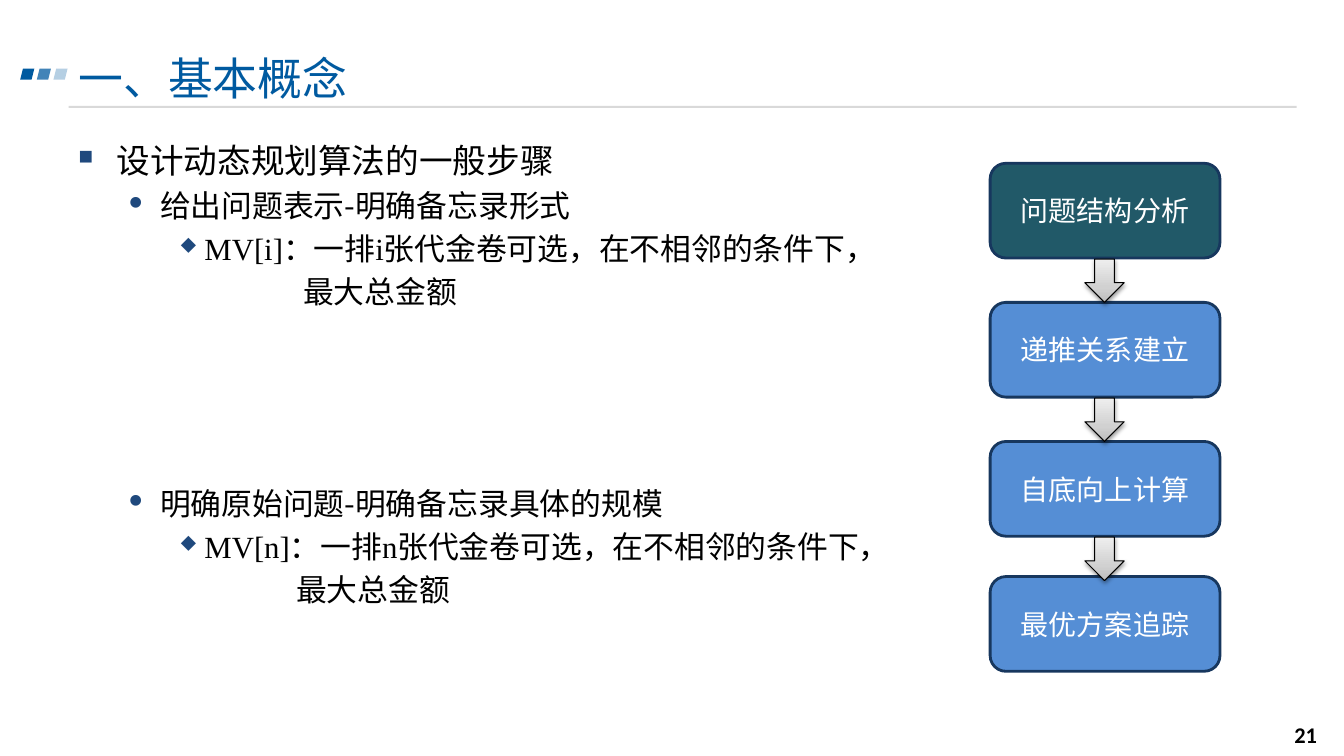
from lxml import etree
from pptx import Presentation
from pptx.dml.color import RGBColor
from pptx.enum import shapes, text
from pptx.oxml import parse_xml
from pptx.oxml.ns import nsdecls, qn
from pptx.util import Inches, Pt

# Content
TITLE = "一、基本概念"
PAGE = "21"
# (style, text, left margin or None for the style's own, extra gap above in points)
OUTLINE = [
    ("topic", "设计动态规划算法的一般步骤", None, 0),
    ("step", "给出问题表示-明确备忘录形式", None, 0),
    ("detail", "MV[i]：一排i张代金卷可选，在不相邻的条件下，", None, 0),
    ("more", "最大总金额", 2.23, 0),
    ("step", "明确原始问题-明确备忘录具体的规模", None, 120),
    ("detail", "MV[n]：一排n张代金卷可选，在不相邻的条件下，", None, 0),
    ("more", "最大总金额", 2.16, 0),
]
STAGES = [("问题结构分析", 1.62), ("递推关系建立", 3.0), ("自底向上计算", 4.38), ("最优方案追踪", 5.72)]
CURRENT_STAGE = 0

# Theme
THEME = {
    "brand": "005AA0", "rule": "D9D9D9", "ink": "000000", "white": "FFFFFF",
    "bullet": "1F497D", "stage": "558ED5", "current": "215968", "edge": "17375E",
    "arrow": [(0, "BDBDBD"), (35, "D1D1D1"), (100, "EEEEEE")],
    "sans": "Calibri", "serif": "Times New Roman", "cjk": "Noto Sans CJK SC",
    "title": 32, "stage_size": 20, "page": 16,
}
# size, line height, font, left margin, first-line indent, Wingdings bullet
STYLES = {
    "topic": (24, 31, THEME["cjk"], 0.38, -0.38, "n"),
    "step": (22, 26.5, THEME["cjk"], 0.81, -0.31, "l"),
    "detail": (22, 26.5, THEME["serif"], 1.25, -0.25, "u"),
    "more": (22, 26.5, THEME["serif"], 1, 0, None),
}


def color(key):
    return RGBColor.from_string(THEME[key])


def write(paragraph, words, size, font, ink):
    run = paragraph.add_run()
    run.text = words
    paragraph.font.size = Pt(size)
    paragraph.font.name = font
    paragraph.font.color.rgb = color(ink)
    # East Asian face follows the Latin one on every run
    props = run._r.get_or_add_rPr()
    props.set("lang", "zh-CN")
    etree.SubElement(props, qn("a:ea")).set("typeface", THEME["cjk"])


def add_box(left, top, width, height, anchor):
    frame = slide.shapes.add_textbox(*map(Inches, (left, top, width, height))).text_frame
    frame.word_wrap = True
    frame.vertical_anchor = anchor
    return frame


def add_plain(kind, left, top, width, height, fill=None):
    shape = slide.shapes.add_shape(kind, *map(Inches, (left, top, width, height)))
    shape.shadow.inherit = False
    if fill:
        shape.fill.solid()
        shape.fill.fore_color.rgb = color(fill)
        shape.line.fill.background()
    return shape


def add_bullet(paragraph, left, indent, mark):
    props = paragraph._p.get_or_add_pPr()
    props.set("marL", str(Inches(left)))
    props.set("indent", str(Inches(indent)))
    if mark:
        tint = etree.SubElement(props, qn("a:buClr"))
        etree.SubElement(tint, qn("a:srgbClr")).set("val", THEME["bullet"])
        etree.SubElement(props, qn("a:buSzPct")).set("val", "60000")
        face = etree.SubElement(props, qn("a:buFont"))
        face.set("typeface", "Wingdings")
        face.set("charset", "2")
        etree.SubElement(props, qn("a:buChar")).set("char", mark)
    else:
        etree.SubElement(props, qn("a:buNone"))


def style_arrow(arrow):
    stops = "".join(f'<a:gs pos="{pos * 1000}"><a:srgbClr val="{tint}"/></a:gs>'
                    for pos, tint in THEME["arrow"])
    gradient = parse_xml(f'<a:gradFill {nsdecls("a")} rotWithShape="1"><a:gsLst>{stops}</a:gsLst>'
                         '<a:lin ang="16200000" scaled="1"/></a:gradFill>')
    arrow._element.spPr.find(qn("a:prstGeom")).addnext(gradient)
    arrow.line.color.rgb = color("ink")
    arrow.line.width = Pt(0.75)
    shadow = parse_xml(
        f'<a:outerShdw {nsdecls("a")} blurRad="{Pt(3.1)}" dist="{Pt(1.6)}" dir="5400000" rotWithShape="0">'
        f'<a:srgbClr val="{THEME["ink"]}"><a:alpha val="38000"/></a:srgbClr></a:outerShdw>')
    arrow._element.spPr.find(qn("a:effectLst")).append(shadow)


prs = Presentation()
prs.slide_width, prs.slide_height = Inches(13.33), Inches(7.5)
slide = prs.slides.add_slide(prs.slide_layouts[6])
KIND = shapes.MSO_SHAPE
MIDDLE = text.MSO_ANCHOR.MIDDLE

# Header rule and fading tiles
add_plain(KIND.RECTANGLE, 0.68, 1.05, 12.18, 0.02, "rule")
for place, opacity in enumerate((100, 74, 29)):
    tile = add_plain(KIND.PARALLELOGRAM, 0.2 + place * 0.165, 0.68, 0.14, 0.11, "brand")
    tile.rotation = 180
    if opacity < 100:
        tint = tile._element.spPr.find(qn("a:solidFill"))[0]
        etree.SubElement(tint, qn("a:alpha")).set("val", str(opacity * 1000))

# Page number
page = add_box(12.44, 7.09, 0.72, 0.4, MIDDLE).paragraphs[0]
page.alignment = text.PP_ALIGN.RIGHT
write(page, PAGE, THEME["page"], THEME["sans"], "ink")
page.font.bold = True

# Title
title = add_box(0.68, 0.44, 11.02, 0.71, MIDDLE).paragraphs[0]
title.line_spacing = Pt(35)
write(title, TITLE, THEME["title"], THEME["sans"], "brand")

# Outline
outline = add_box(0.68, 1.31, 12.13, 5.2, text.MSO_ANCHOR.TOP)
for order, (style, words, margin, gap) in enumerate(OUTLINE):
    size, height, font, left, indent, mark = STYLES[style]
    item = outline.add_paragraph() if order else outline.paragraphs[0]
    add_bullet(item, margin or left, indent, mark)
    item.line_spacing = Pt(height)
    if order:
        item.space_before = Pt(size * 0.2 + gap)
    write(item, words, size, font, "ink")

# Stages
for order, (words, top) in enumerate(STAGES):
    stage = add_plain(KIND.ROUNDED_RECTANGLE, 9.82, top, 2.28, 0.94,
                      "current" if order == CURRENT_STAGE else "stage")
    stage.line.color.rgb = color("edge")
    stage.line.width = Pt(2)
    stage.text_frame.vertical_anchor = MIDDLE
    label = stage.text_frame.paragraphs[0]
    label.alignment = text.PP_ALIGN.CENTER
    write(label, words, THEME["stage_size"], THEME["sans"], "white")

# Arrows between stages
for _, top in STAGES[:-1]:
    style_arrow(add_plain(KIND.DOWN_ARROW, 10.76, top + 0.95, 0.39, 0.43))

prs.save("out.pptx")
